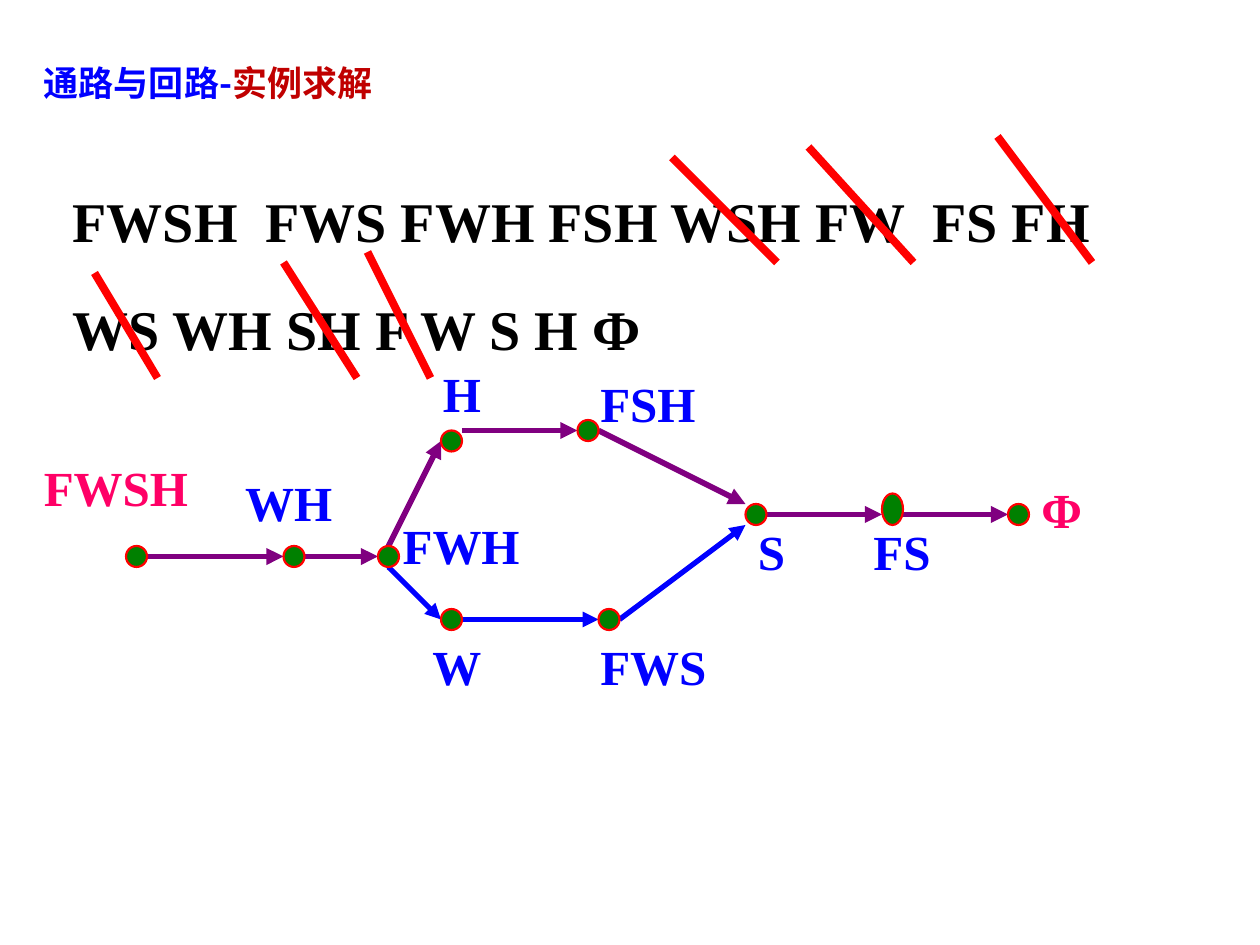
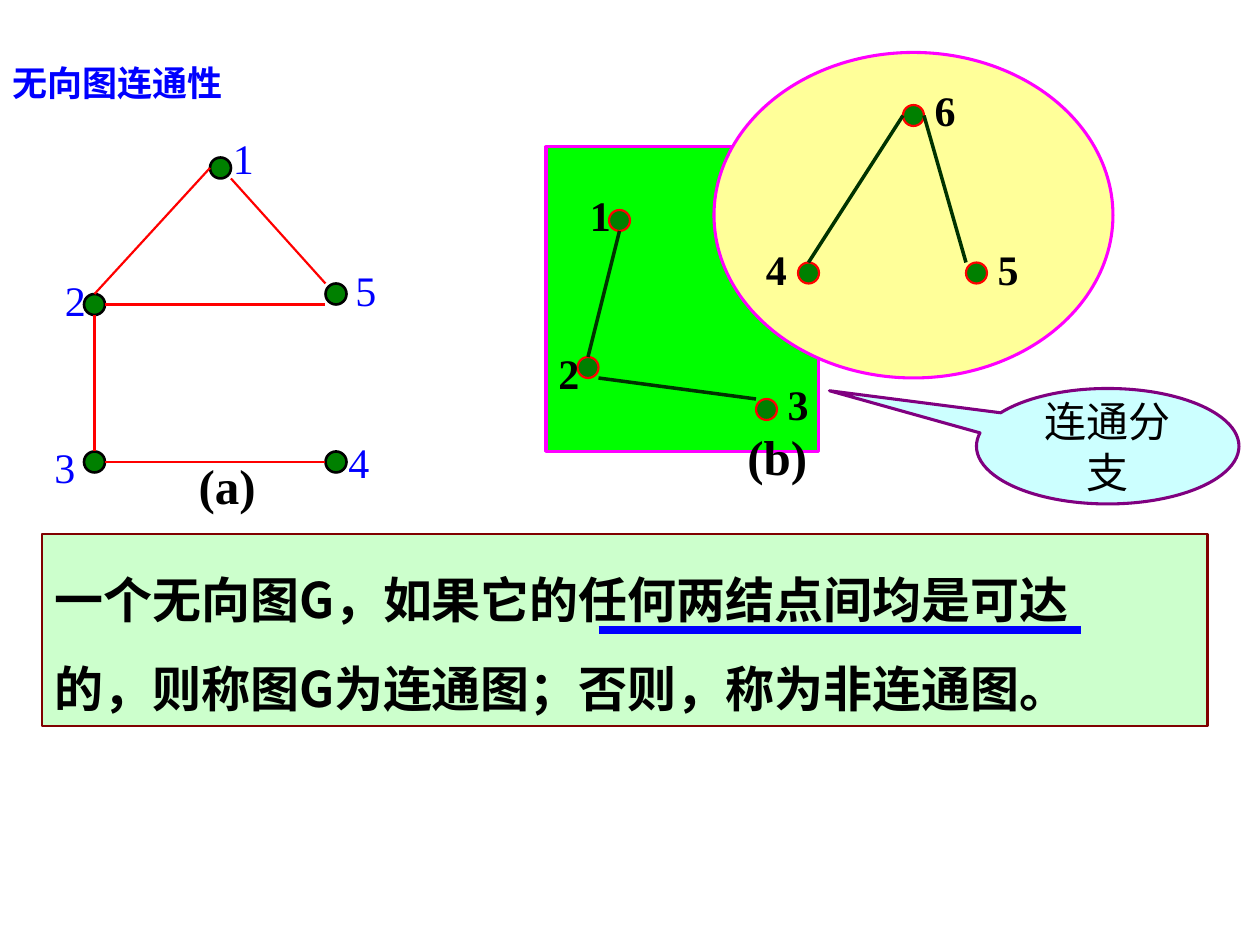
from dataclasses import dataclass

from lxml import etree
from pptx import Presentation
from pptx import util as u
from pptx.dml.color import RGBColor
from pptx.enum import shapes, text
from pptx.oxml import ns


@dataclass(frozen=True)
class Theme:
    serif: str = "Times New Roman"
    cjk: str = "Noto Sans CJK SC"
    sans: str = "Arial"
    blue: str = "0000FF"
    dark_red: str = "C00000"
    red: str = "FF0000"
    pink: str = "FF0066"
    purple: str = "800080"
    magenta: str = "FF00FF"
    black: str = "000000"
    maroon: str = "800000"
    dot: str = "008000"
    dark_green: str = "003300"
    lime: str = "00FF00"
    yellow: str = "FFFF99"
    mint: str = "CCFFCC"
    cyan: str = "CCFFFF"
    title: int = 20
    number: int = 24
    label: int = 28
    states: int = 32


T = Theme()
RADIUS = 6
COMPASS = {"n": (0, -1), "ne": (1, -1), "e": (1, 0), "se": (1, 1),
           "s": (0, 1), "sw": (-1, 1), "w": (-1, 0), "nw": (-1, -1)}

# Titles: box, runs with their colours
RIVER_TITLE = (18, 31.5, 222, 31), [("通路与回路-", T.blue), ("实例求解", T.dark_red)]
CONNECTED_TITLE = (0, 31.5, 253, 31), [("无向图连通性", T.blue)]

# Slide 1: river crossing states
STATES = ["FWSH  FWS FWH FSH WSH FW  FS FH", "WS WH SH F W S H Ф"]
# Strikes by bottom edge: left, top, right
STRIKES = {
    150: [(384, 90, 444), (462, 84, 522), (570, 78, 624)],
    216: [(54, 156, 90), (162, 150, 204), (210, 144, 246)],
}
# Node centres
RIVER_NODES = {
    "FWSH": (78, 318), "WH": (168, 318), "FWH": (222, 318), "H": (258, 252),
    "FSH": (336, 246), "W": (258, 354), "FWS": (348, 354), "S": (432, 294),
    "FS": (510, 294), "Φ": (582, 294),
}
RIVER_STRETCH = {"FS": 6}
# Label left, top, width
RIVER_LABELS = {
    "FWSH": (18, 258, 98), "WH": (133, 266.4, 65), "FWH": (223, 291, 82),
    "H": (246, 204, 36), "FSH": (336, 210, 69), "W": (240, 360, 42),
    "FWS": (336, 360, 76), "S": (426, 294.5, 30), "FS": (492, 294.5, 48),
    "Φ": (588, 270.7, 37),
}
# Edges: node, side, node, side
UPPER_ROUTE = [
    ("FWSH", "e", "WH", "w"), ("WH", "e", "FWH", "w"), ("FWH", "n", "H", "w"),
    ("H", "ne", "FSH", "w"), ("FSH", "e", "S", "nw"), ("S", "e", "FS", "w"),
    ("FS", "e", "Φ", "w"),
]
LOWER_ROUTE = [
    ("FWH", "s", "W", "w"), ("W", "e", "FWS", "w"), ("FWS", "e", "S", "sw"),
]

# Slide 2: a connected and a disconnected graph
GRAPH_A = {
    "nodes": {"1": (126, 96), "2": (54, 174), "3": (54, 264),
              "4": (192, 264), "5": (192, 168)},
    "labels": {"1": (126, 72), "2": (30, 153.5), "3": (24, 249),
               "4": (192, 246), "5": (196, 147.5)},
    "edges": [("1", "w", "2", "n"), ("2", "e", "5", "sw"), ("2", "s", "3", "n"),
              ("3", "e", "4", "w"), ("1", "se", "5", "nw")],
    "edge_line": (T.red, 1.25), "dot_line": (T.black, 1.5),
    "label_format": dict(color=T.blue),
}
GRAPH_B = {
    "nodes": {"1": (354, 126), "2": (336, 210), "3": (438, 234),
              "4": (462, 156), "5": (558, 156), "6": (522, 66)},
    "labels": {"1": (330, 105), "2": (312, 195), "3": (443, 213),
               "4": (430.5, 135.5), "5": (563, 135.5), "6": (527, 45)},
    "edges": [("2", "n", "1", "s"), ("2", "se", "3", "nw"),
              ("4", "n", "6", "w"), ("6", "e", "5", "nw")],
    "edge_line": (T.dark_green, 2), "dot_line": (T.red, 1.25),
    "label_format": dict(color=T.black, bold=True),
}
CAPTIONS = {"(a)": (106.5, 257, 47, 41), "(b)": (420, 240, 49, 41)}
DEFINITION = ["一个无向图G，如果它的任何两结点间均是可达",
              "的，则称图G为连通图；否则，称为非连通图。"]
BRANCH = "连通分支"


def pts(values):
    return [u.Pt(v) for v in values]


def rgb(color):
    return RGBColor.from_string(color)


def write(sp, paragraphs, size, font=T.serif, color=T.black, bold=False,
          wrap=False, grow=True, spacing=None, align=text.PP_ALIGN.LEFT,
          anchor=text.MSO_ANCHOR.TOP):
    """Fill a shape with paragraphs, each a string or a list of (text, colour) runs."""
    tf = sp.text_frame
    tf.word_wrap = wrap
    tf.vertical_anchor = anchor
    if grow:
        tf.auto_size = text.MSO_AUTO_SIZE.SHAPE_TO_FIT_TEXT
    for i, runs in enumerate(paragraphs):
        p = tf.add_paragraph() if i else tf.paragraphs[0]
        p.alignment = align
        if spacing:
            p.line_spacing = spacing
        for words, run_color in [(runs, color)] if isinstance(runs, str) else runs:
            r = p.add_run()
            r.text = words
            r.font.name, r.font.size, r.font.bold = font, u.Pt(size), bold
            r.font.color.rgb = rgb(run_color)
            ea = etree.SubElement(r.font._element, ns.qn("a:ea"))
            ea.set("typeface", T.cjk)


def add_text(s, box, paragraphs, **fmt):
    write(s.shapes.add_textbox(*pts(box)), paragraphs, **fmt)


def add_shape(s, kind, box, fill, line):
    sp = s.shapes.add_shape(kind, *pts(box))
    sp.shadow.inherit = False
    sp.fill.solid()
    sp.fill.fore_color.rgb = rgb(fill)
    color, width = line
    sp.line.color.rgb = rgb(color)
    sp.line.width = u.Pt(width)
    return sp


def add_line(s, start, end, line, arrow=False):
    c = s.shapes.add_connector(shapes.MSO_CONNECTOR.STRAIGHT, *pts((*start, *end)))
    color, width = line
    c.line.color.rgb = rgb(color)
    c.line.width = u.Pt(width)
    if arrow:
        tail = etree.SubElement(c.line._get_or_add_ln(), ns.qn("a:tailEnd"))
        tail.set("type", "triangle")
    etree.SubElement(c._element.spPr, ns.qn("a:effectLst"))


def add_edges(s, nodes, edges, line, arrow=False):
    def end(name, side):
        return [v + RADIUS * d for v, d in zip(nodes[name], COMPASS[side])]

    for a, a_side, b, b_side in edges:
        add_line(s, end(a, a_side), end(b, b_side), line, arrow)


def add_dots(s, nodes, line, stretch=None):
    """Draw the nodes; stretch gives extra height upwards by name."""
    for name, (x, y) in nodes.items():
        extra = (stretch or {}).get(name, 0)
        box = x - RADIUS, y - RADIUS - extra, 2 * RADIUS, 2 * RADIUS + extra
        add_shape(s, shapes.MSO_SHAPE.OVAL, box, T.dot, line)


def add_slide(prs, title):
    s = prs.slides.add_slide(prs.slide_layouts[6])
    box, runs = title
    add_text(s, box, [runs], size=T.title, font=T.cjk, bold=True, wrap=True)
    return s


def river_slide(prs):
    s = add_slide(prs, RIVER_TITLE)
    add_text(s, (34.5, 80, 604, 130), STATES, size=T.states, bold=True, spacing=1.6)
    for bottom, strikes in STRIKES.items():
        for left, top, right in strikes:
            add_line(s, (left, top), (right, bottom), (T.red, 4.5))
    for name, place in RIVER_LABELS.items():
        color = T.pink if name in ("FWSH", "Φ") else T.blue
        add_text(s, (*place, 41), [name], size=T.label, color=color, bold=True)
    add_edges(s, RIVER_NODES, UPPER_ROUTE, (T.purple, 3.25), arrow=True)
    add_edges(s, RIVER_NODES, LOWER_ROUTE, (T.blue, 3), arrow=True)
    add_dots(s, RIVER_NODES, (T.red, 1.25), RIVER_STRETCH)


def connected_slide(prs):
    s = add_slide(prs, CONNECTED_TITLE)
    kind = shapes.MSO_SHAPE
    add_shape(s, kind.RECTANGLE, (312, 84, 156, 174), T.lime, (T.magenta, 1.75))
    add_shape(s, kind.OVAL, (408, 30, 228, 186), T.yellow, (T.magenta, 1.75))
    definition = add_shape(s, kind.RECTANGLE, (24, 305.3, 666, 109.4),
                           T.mint, (T.maroon, 1.25))
    write(definition, DEFINITION, size=T.label, font=T.cjk, bold=True,
          wrap=True, spacing=1.5)
    for graph in (GRAPH_A, GRAPH_B):
        add_dots(s, graph["nodes"], graph["dot_line"])
        add_edges(s, graph["nodes"], graph["edges"], graph["edge_line"])
        for name, place in graph["labels"].items():
            add_text(s, (*place, 26, 36), [name], size=T.number,
                     **graph["label_format"])
    for caption, box in CAPTIONS.items():
        add_text(s, box, [caption], size=T.label, bold=True)
    add_line(s, (342, 360), (618, 360), (T.blue, 4.75))
    callout = add_shape(s, kind.OVAL_CALLOUT, (558, 222, 150, 66),
                        T.cyan, (T.purple, 1.75))
    callout.adjustments[0], callout.adjustments[1] = -1.06, -0.48
    write(callout, [BRANCH], size=T.number, font=T.sans, wrap=True, grow=False,
          align=text.PP_ALIGN.CENTER, anchor=text.MSO_ANCHOR.MIDDLE)


def main():
    prs = Presentation()
    prs.slide_width, prs.slide_height = pts((720, 540))
    river_slide(prs)
    connected_slide(prs)
    prs.save("out.pptx")


if __name__ == "__main__":
    main()
